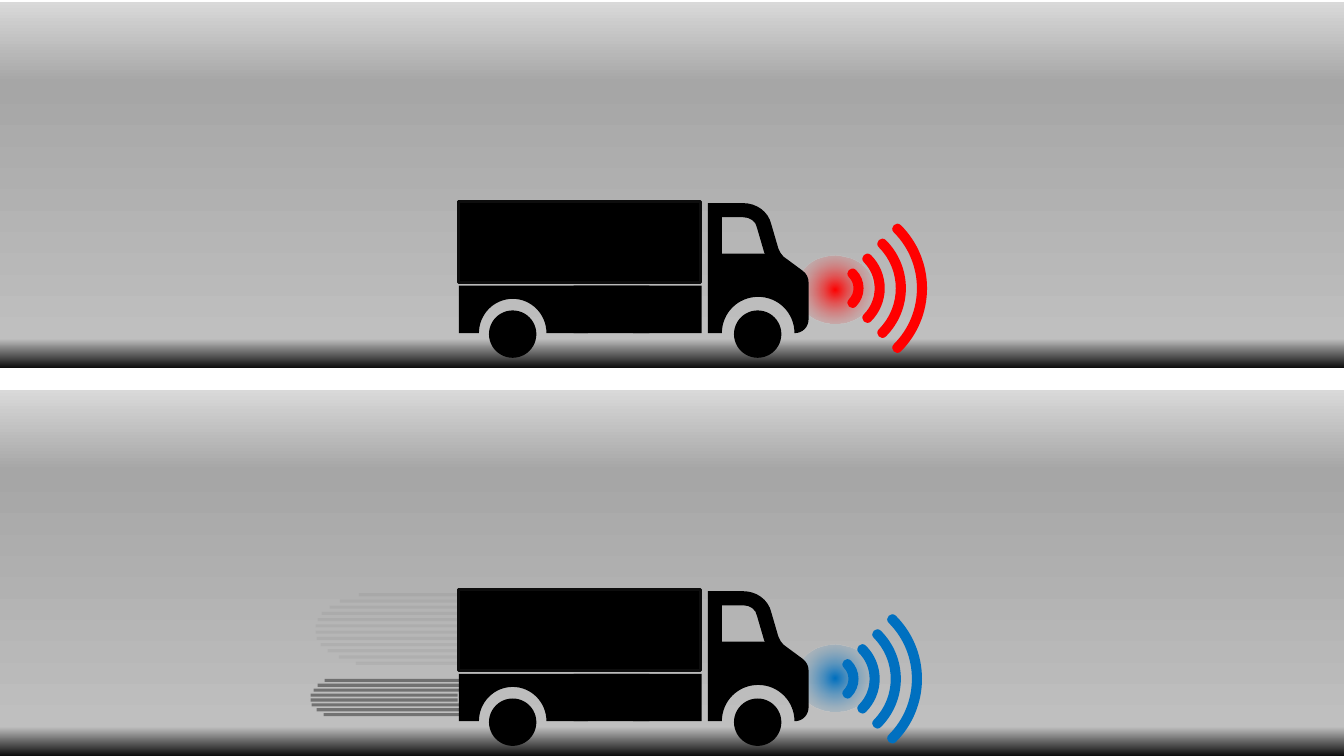
from dataclasses import dataclass
from math import cos, radians, sin, tan

from lxml.etree import SubElement
from pptx import Presentation
from pptx.dml.color import RGBColor
from pptx.enum.shapes import MSO_CONNECTOR, MSO_SHAPE
from pptx.oxml import parse_xml
from pptx.oxml.ns import nsdecls, qn
from pptx.util import Inches, Pt

SLIDE_WIDTH = Inches(13.33)
SLIDE_HEIGHT = Inches(7.5)
CELL = SLIDE_HEIGHT / 750

BLACK = RGBColor(0x00, 0x00, 0x00)
NEAR_BLACK = RGBColor(0x0D, 0x0D, 0x0D)
DARK_GRAY = RGBColor(0x26, 0x26, 0x26)
SKY_TOP = RGBColor(0xD9, 0xD9, 0xD9)
SKY_MIDDLE = RGBColor(0xA6, 0xA6, 0xA6)
SKY_LOW = RGBColor(0xBF, 0xBF, 0xBF)
RED = RGBColor(0xFF, 0x00, 0x00)
BLUE = RGBColor(0x00, 0x70, 0xC0)

LINEAR_DOWN = '<a:lin ang="5400000" scaled="0"/>'
FROM_CENTRE = ('<a:path path="circle">'
               '<a:fillToRect l="50000" t="50000" r="50000" b="50000"/></a:path>')

CAB_WINDOW = [(14, 14), (35, 14), (42, 14, 48, 18, 49, 25), (56, 49),
              (56, 50, 57, 50, 57, 50), (14, 50)]
CAB_OUTLINE = [(35, 0), (0, 0), (0, 129), (14, 129),
               (14, 109, 30, 93, 50, 93), (70, 93, 86, 109, 86, 129),
               (94, 129, 100, 123, 100, 115), (100, 79),
               (100, 74, 98, 70, 94, 67), (75, 53),
               (73, 51, 71, 48, 70, 45), (63, 21), (60, 8, 48, 0, 35, 0)]

CARGO_STREAKS = [356, 337, 327, 319, 315, 313, 313, 314, 318, 325, 336, 353]
CHASSIS_STREAKS = [322, 315, 311, 308, 308, 309, 314, 321]
STREAK_LENGTH = 146


@dataclass
class Box:
    left: float
    top: float
    width: float
    height: float

    def inner(self, left, top, width, height):
        return Box(self.left + left, self.top + top, width, height)


def emu(cells):
    return round(cells * CELL)


def add_preset(shapes, preset, box):
    shape = shapes.add_shape(preset, emu(box.left), emu(box.top),
                             emu(box.width), emu(box.height))
    shape.shadow.inherit = False
    shape.line.fill.background()
    return shape


def fill_solid(shape, color):
    shape.fill.solid()
    shape.fill.fore_color.rgb = color


def fill_gradient(shape, stops, direction):
    stop_xml = "".join(
        f'<a:gs pos="{position * 1000}"><a:srgbClr val="{color}">'
        f'<a:alpha val="{opacity * 1000}"/></a:srgbClr></a:gs>'
        for position, color, opacity in stops)
    gradient = parse_xml(f'<a:gradFill {nsdecls("a")} rotWithShape="1">'
                         f'<a:gsLst>{stop_xml}</a:gsLst>{direction}</a:gradFill>')
    shape._element.spPr.find(qn("a:prstGeom")).addnext(gradient)


def arc(centre_x, centre_y, radius_x, radius_y, start, end):
    first, last = radians(start), radians(end)
    pull = 4 / 3 * tan((last - first) / 4)
    unit_points = [
        (cos(first) - pull * sin(first), sin(first) + pull * cos(first)),
        (cos(last) + pull * sin(last), sin(last) - pull * cos(last)),
        (cos(last), sin(last))]
    return tuple(value for x, y in unit_points
                 for value in (centre_x + radius_x * x, centre_y + radius_y * y))


def add_outline(shapes, box, contours, color):
    ends = [[(emu(box.left + segment[-2]), emu(box.top + segment[-1]))
             for segment in contour] for contour in contours]
    builder = shapes.build_freeform(*ends[0][0])
    builder.add_line_segments(ends[0][1:], close=True)
    for contour in ends[1:]:
        builder.move_to(*contour[0])
        builder.add_line_segments(contour[1:], close=True)
    shape = builder.convert_to_shape()
    shape.shadow.inherit = False
    shape.line.fill.background()
    fill_solid(shape, color)
    lines = iter(list(shape._element.iter(qn("a:lnTo"))))
    for contour in contours:
        for segment, line in zip(contour[1:], lines_for(contour, lines)):
            if len(segment) == 6:
                line.tag = qn("a:cubicBezTo")
                for index in (0, 2):
                    control = parse_xml(f'<a:pt {nsdecls("a")}/>')
                    control.set("x", str(emu(box.left + segment[index]) - shape.left))
                    control.set("y", str(emu(box.top + segment[index + 1]) - shape.top))
                    line.insert(index // 2, control)


def lines_for(contour, lines):
    return [next(lines) for segment in contour[1:]]


def draw_backdrop(shapes, box):
    backdrop = add_preset(shapes, MSO_SHAPE.RECTANGLE, box)
    fill_gradient(backdrop, [(0, SKY_TOP, 100), (22, SKY_MIDDLE, 100),
                             (92, SKY_LOW, 100), (100, NEAR_BLACK, 100)],
                  LINEAR_DOWN)


def draw_streaks(shapes, box, starts, opacity):
    step = box.height / (len(starts) - 1)
    for row, start in enumerate(starts):
        left, y = emu(box.left + start), emu(box.top + row * step)
        streak = shapes.add_connector(MSO_CONNECTOR.STRAIGHT, left, y,
                                      left + emu(STREAK_LENGTH), y)
        streak.line.width = Pt(2.25)
        streak.line.color.rgb = DARK_GRAY
        properties = streak._element.spPr
        color = properties.find(".//" + qn("a:srgbClr"))
        SubElement(color, qn("a:alpha")).set("val", str(opacity * 1000))
        SubElement(properties, qn("a:effectLst"))


def draw_glow(shapes, box, color):
    glow = add_preset(shapes, MSO_SHAPE.FLOWCHART_CONNECTOR, box)
    fill_gradient(glow, [(0, color, 100), (100, SKY_LOW, 0)], FROM_CENTRE)


def draw_chassis(shapes, box, arch_centre, arch_width, arch_height):
    radius = arch_width / 2
    outline = [(box.width, box.height), (arch_centre + radius, box.height),
               arc(arch_centre, box.height, radius, arch_height, 0, -90),
               arc(arch_centre, box.height, radius, arch_height, -90, -180),
               (0, box.height), (0, 0), (box.width, 0)]
    add_outline(shapes, box, [outline], BLACK)


def draw_truck(shapes, box):
    for wheel_left in (30, 273):
        wheel = add_preset(shapes, MSO_SHAPE.OVAL,
                           box.inner(wheel_left, 108.5, 47, 47))
        fill_solid(wheel, BLACK)
    cargo = add_preset(shapes, MSO_SHAPE.RECTANGLE, box.inner(0, 0, 240, 81))
    fill_solid(cargo, BLACK)
    cargo.line.color.rgb = NEAR_BLACK
    cargo.line.width = Pt(2.25)
    add_outline(shapes, box.inner(247, 2, 101, 129),
                [CAB_WINDOW, CAB_OUTLINE], BLACK)
    draw_chassis(shapes, box.inner(0, 84, 189, 47), 53.5, 67, 34)
    draw_chassis(shapes, box.inner(114, 84, 127, 47), 36.5, 45, 34)


def draw_waves(shapes, box, color):
    middle = box.height / 2
    cap = 5
    for ring in range(4):
        radius = 20.5 + 21 * ring
        outer, inner = radius + cap, radius - cap
        tip = radius * cos(radians(45))
        corner = outer * cos(radians(45))
        outline = [(corner, middle - corner),
                   arc(0, middle, outer, outer, -45, 0),
                   arc(0, middle, outer, outer, 0, 45),
                   arc(tip, middle + tip, cap, cap, 45, 225),
                   arc(0, middle, inner, inner, 45, -45),
                   arc(tip, middle - tip, cap, cap, 135, 315)]
        add_outline(shapes, box, [outline], color)


def draw_scene(slide, box, color, moving, wave_left, wave_top):
    shapes = slide.shapes.add_group_shape().shapes
    draw_backdrop(shapes, box)
    if moving:
        draw_streaks(shapes, box.inner(0, 203, box.width, 68), CARGO_STREAKS, 5)
        draw_streaks(shapes, box.inner(0, 288, box.width, 34), CHASSIS_STREAKS, 50)
    draw_glow(shapes, box.inner(790, 252, 76, 67), color)
    draw_truck(shapes, box.inner(455, 197.5, 347, 156))
    draw_waves(shapes, box.inner(wave_left, wave_top, 88, 127), color)


def main():
    presentation = Presentation()
    presentation.slide_width = SLIDE_WIDTH
    presentation.slide_height = SLIDE_HEIGHT
    slide = presentation.slides.add_slide(presentation.slide_layouts[6])
    draw_scene(slide, Box(0, 2, 1333, 363), RED, False, 831, 220.5)
    draw_scene(slide, Box(0, 387, 1333, 363), BLUE, True, 826, 223)
    presentation.save("out.pptx")


if __name__ == "__main__":
    main()
